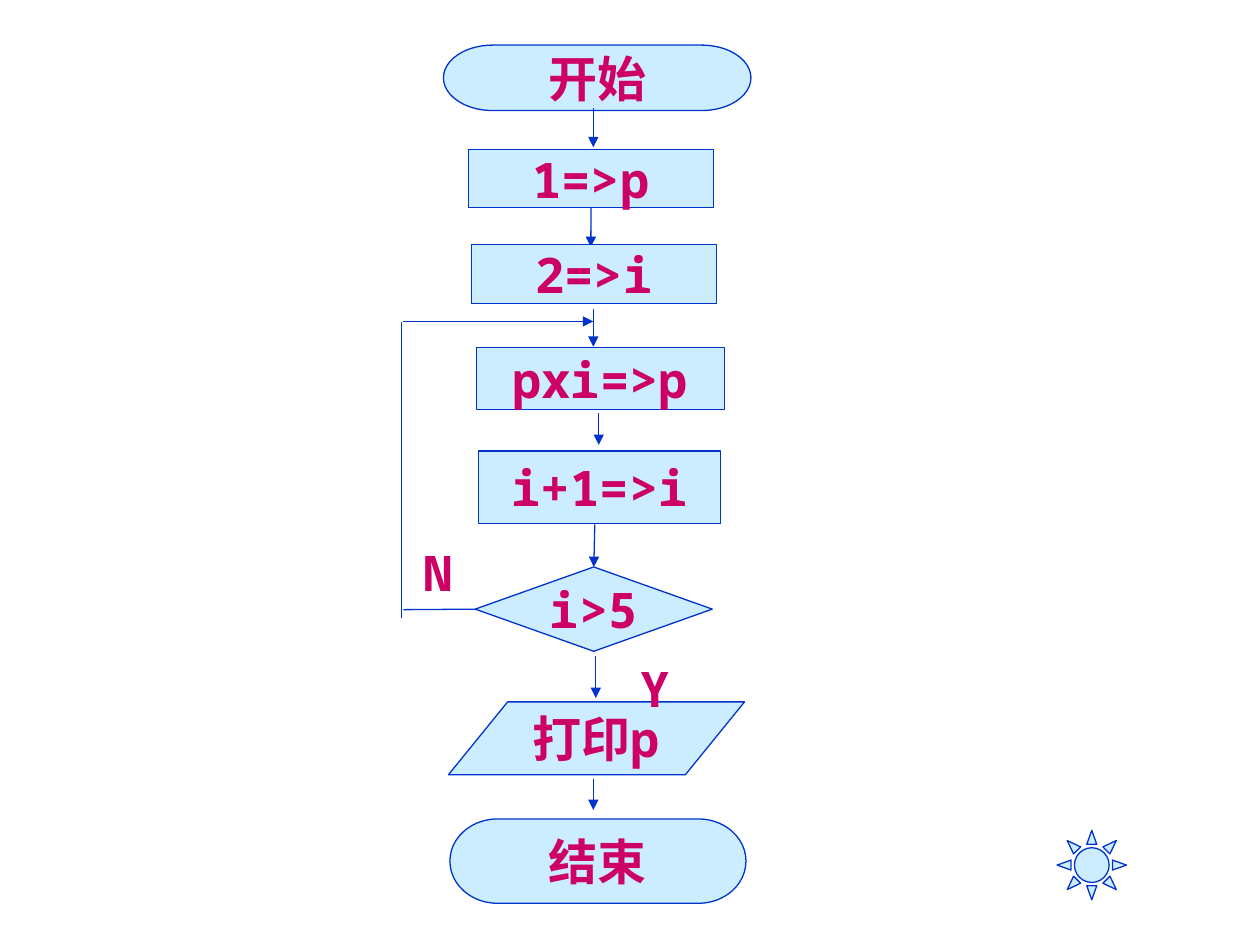
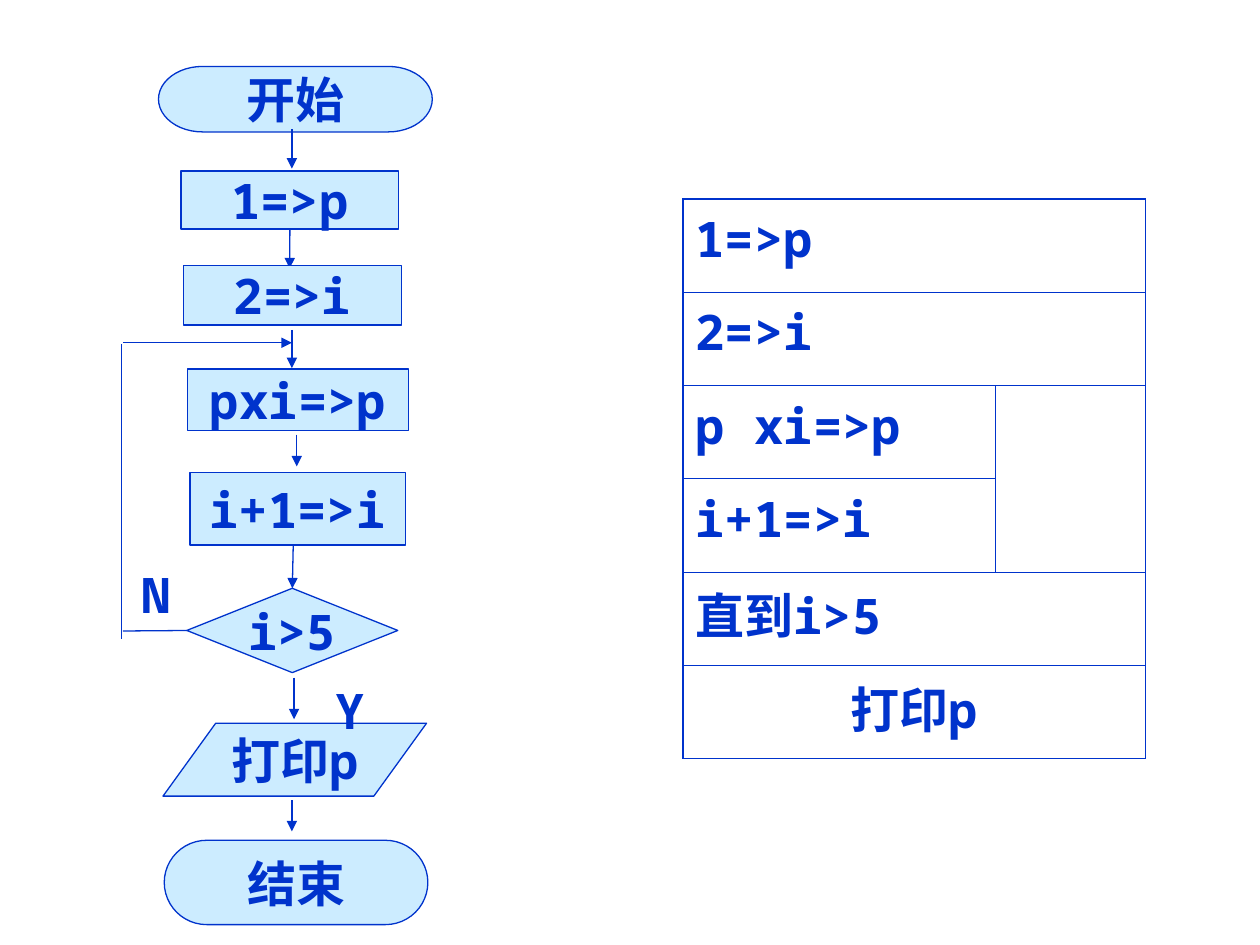
from lxml import etree
from pptx import Presentation
from pptx.dml.color import RGBColor
from pptx.enum import shapes, text
from pptx.oxml.ns import qn
from pptx.util import Cm, Pt

BLUE = RGBColor(0x00, 0x33, 0xCC)
SKY = RGBColor(0xCC, 0xEC, 0xFF)
MAGENTA = RGBColor(0xCC, 0x00, 0x66)
FONT = "Noto Sans Mono"
KIND = shapes.MSO_SHAPE

STEPS = [
    ("开始", KIND.FLOWCHART_TERMINATOR, (8.94, 0.91, 6.2, 1.32), (11.96, 2.18, 2.97)),
    ("1=>p", KIND.FLOWCHART_PROCESS, (9.45, 3.02, 4.93, 1.17), (11.91, 4.19, 4.98)),
    ("2=>i", KIND.FLOWCHART_PROCESS, (9.5, 4.93, 4.95, 1.19), (11.96, 6.22, 6.99)),
    ("pxi=>p", KIND.FLOWCHART_PROCESS, (9.6, 7.01, 5, 1.24), (12.07, 8.33, 8.97)),
    ("i+1=>i", KIND.FLOWCHART_PROCESS, (9.65, 9.09, 4.88, 1.47), (11.99, 10.57, 11.43)),
    ("i>5", KIND.FLOWCHART_DECISION, (9.58, 11.43, 4.78, 1.7), (12.01, 13.23, 14.07)),
    ("打印p", KIND.FLOWCHART_DATA, (9.04, 14.15, 5.97, 1.47), (11.96, 15.7, 16.33)),
    ("结束", KIND.FLOWCHART_TERMINATOR, (9.07, 16.51, 5.97, 1.7), None),
]
BRANCHES = [("N", (8.28, 10.82, 1.07, 1.45)), ("Y", (12.67, 13.16, 1.19, 1.45))]
NS_ROWS = ["1=>p", "2=>i", "p xi=>p", "i+1=>i", "直到i>5", "打印p"]


class Deck:
    def __init__(self):
        self.prs = Presentation()
        self.prs.slide_width, self.prs.slide_height = Cm(25.4), Cm(19.05)

    def new_slide(self, ink, scale=1, dx=0, dy=0):
        self.s = self.prs.slides.add_slide(self.prs.slide_layouts[6])
        self.ink, self.scale, self.dx, self.dy = ink, scale, dx, dy

    def point(self, x, y):
        return Cm(x * self.scale + self.dx), Cm(y + self.dy)

    def frame(self, x, y, w, h):
        return *self.point(x, y), Cm(w * self.scale), Cm(h)

    def set_words(self, tf, words, align):
        p = tf.paragraphs[0]
        p.text = words
        p.alignment = align
        for r in p.runs:
            r.font.name, r.font.size, r.font.bold = FONT, Pt(28), True
            r.font.color.rgb = self.ink

    def shape(self, kind, box, words=""):
        sp = self.s.shapes.add_shape(kind, *self.frame(*box))
        sp.shadow.inherit = False
        sp.fill.solid()
        sp.fill.fore_color.rgb = SKY
        sp.line.color.rgb = BLUE
        sp.line.width = Pt(0.75)
        if words:
            tf = sp.text_frame
            tf.word_wrap = False
            tf.vertical_anchor = text.MSO_ANCHOR.MIDDLE
            self.set_words(tf, words, text.PP_ALIGN.CENTER)
        return sp

    def label(self, words, box):
        tf = self.s.shapes.add_textbox(*self.frame(*box)).text_frame
        tf.word_wrap = True
        tf.auto_size = text.MSO_AUTO_SIZE.SHAPE_TO_FIT_TEXT
        self.set_words(tf, words, text.PP_ALIGN.LEFT)

    def line(self, start, end, arrow=True):
        cn = self.s.shapes.add_connector(
            shapes.MSO_CONNECTOR.STRAIGHT, *self.point(*start), *self.point(*end))
        cn.line.color.rgb = BLUE
        cn.line.width = Pt(0.75)
        props = cn.element.spPr
        if arrow:
            etree.SubElement(props.find(qn("a:ln")), qn("a:tailEnd"), type="triangle")
        etree.SubElement(props, qn("a:effectLst"))
        return cn

    def border(self, cell, widths):
        for i, (side, width) in enumerate(zip("LRTB", widths)):
            ln = etree.Element(qn(f"a:ln{side}"), w=str(Pt(width)))
            fill = etree.SubElement(ln, qn("a:solidFill"))
            etree.SubElement(fill, qn("a:srgbClr"), val=str(BLUE))
            cell._tc.get_or_add_tcPr().insert(i, ln)

    def table(self, x, y, col_widths, row_height, rows, merges):
        last_row, last_col = len(rows) - 1, len(col_widths) - 1
        tbl = self.s.shapes.add_table(
            len(rows), len(col_widths), Cm(x), Cm(y),
            Cm(sum(col_widths)), Cm(row_height * len(rows))).table
        tbl.first_row = tbl.horz_banding = False
        for col, width in zip(tbl.columns, col_widths):
            col.width = Cm(width)
        for i, words in enumerate(rows):
            tbl.rows[i].height = Cm(row_height)
            align = text.PP_ALIGN.CENTER if i == last_row else text.PP_ALIGN.LEFT
            self.set_words(tbl.cell(i, 0).text_frame, words, align)
            for j in range(last_col + 1):
                cell = tbl.cell(i, j)
                cell.fill.background()
                outer = (j == 0, j == last_col, i == 0, i == last_row)
                self.border(cell, [1.08 if edge else 0.45 for edge in outer])
        for first, last in merges:
            tbl.cell(*first).merge(tbl.cell(*last))

    def flowchart(self):
        nodes, arrows = {}, {}
        for words, kind, box, arrow in STEPS:
            nodes[words] = self.shape(kind, box, words)
            if arrow:
                x, top, bottom = arrow
                arrows[words] = self.line((x, top), (x, bottom))
        arrows["1=>p"].begin_connect(nodes["1=>p"], 2)
        arrows["i+1=>i"].end_connect(nodes["i>5"], 0)
        back = self.line((9.58, 12.29), (8.13, 12.29), arrow=False)
        back.begin_connect(nodes["i>5"], 1)
        self.line((8.1, 12.45), (8.1, 6.5), arrow=False)
        self.line((8.13, 6.48), (11.96, 6.48))
        for words, box in BRANCHES:
            self.label(words, box)


def main():
    deck = Deck()
    deck.new_slide(MAGENTA)
    deck.flowchart()
    deck.shape(KIND.SUN, (21.31, 16.74, 1.4, 1.4))

    deck.new_slide(BLUE, scale=0.89, dx=-4.76, dy=0.43)
    deck.flowchart()
    full_rows = [((i, 0), (i, 1)) for i in (0, 1, 4, 5)]
    deck.table(13.77, 4.01, (6.3, 3.02), 1.88, NS_ROWS, full_rows + [((2, 1), (3, 1))])
    deck.prs.save("out.pptx")


if __name__ == "__main__":
    main()
